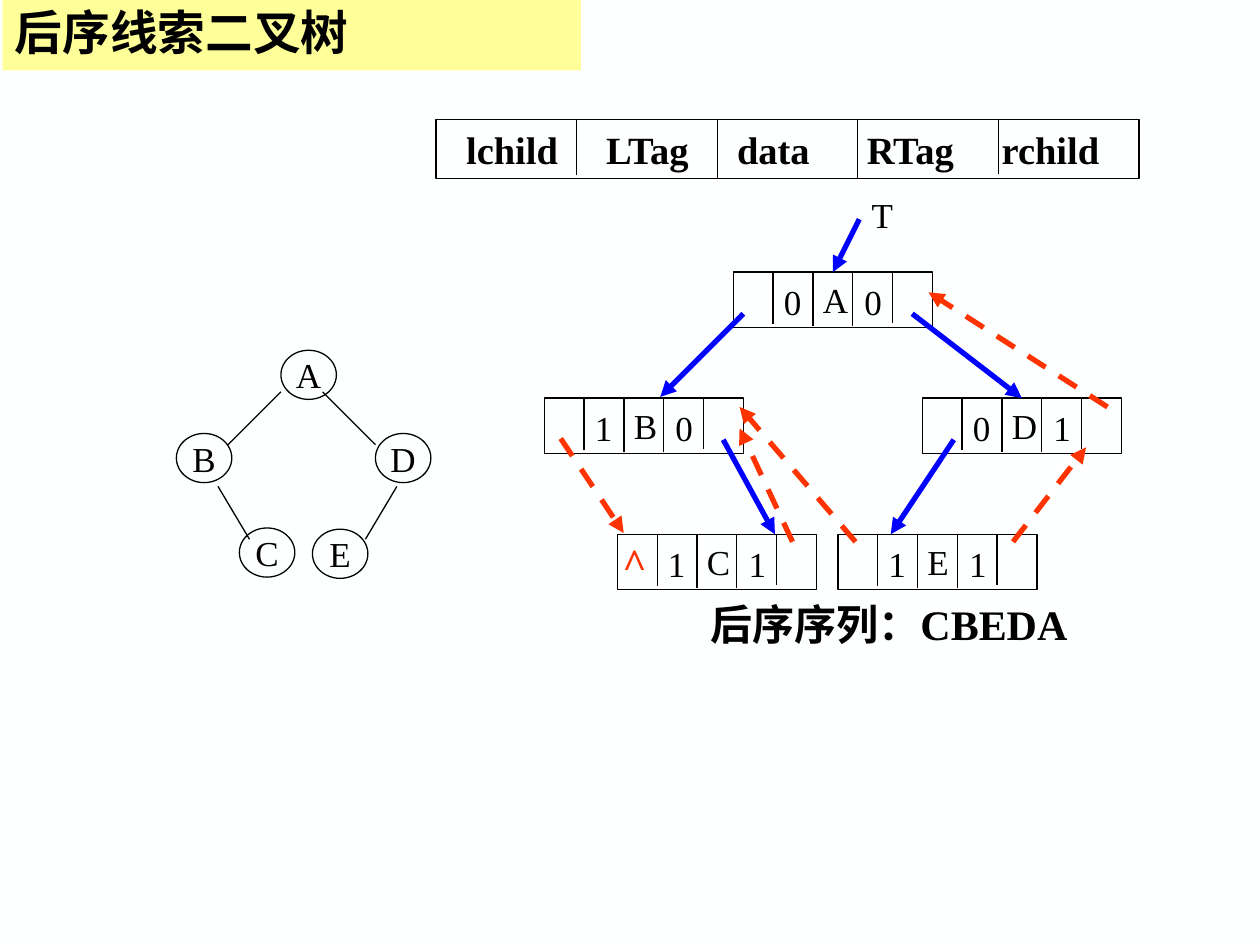
from lxml import etree
from pptx import Presentation
from pptx import util as u
from pptx.dml.color import RGBColor
from pptx.enum import dml, shapes, text
from pptx.oxml.ns import qn

BLACK, BLUE, RED = "000000", "0000FF", "FF3300"
LATIN, CJK = "Times New Roman", "Noto Sans CJK SC"


def color(value):
    """Turn a hex string into a colour."""
    return RGBColor.from_string(value)


def write(shape, words, size=20, bold=False, ink=BLACK, font=LATIN, align="CENTER",
          anchor="MIDDLE", wrap=False, left=0.1, spacing=None, tabs=()):
    """Set one formatted paragraph in a shape."""
    frame = shape.text_frame
    frame.word_wrap = wrap
    frame.vertical_anchor = getattr(text.MSO_ANCHOR, anchor)
    frame.margin_left = u.Inches(left)
    paragraph = frame.paragraphs[0]
    paragraph.alignment = getattr(text.PP_ALIGN, align)
    if spacing:
        paragraph.line_spacing = spacing
    if tabs:
        stops = etree.SubElement(paragraph._p.get_or_add_pPr(), qn("a:tabLst"))
        for stop in tabs:
            etree.SubElement(stops, qn("a:tab"), pos=str(u.Inches(stop)), algn="l")
    run = paragraph.add_run()
    run.text = words
    run.font.size, run.font.bold, run.font.name = u.Pt(size), bold, font
    run.font.color.rgb = color(ink)
    etree.SubElement(run._r.get_or_add_rPr(), qn("a:ea"), typeface=CJK)


def add_outline(slide, kind, box, fill=None):
    """Add a preset shape, either filled or with a thin outline."""
    shape = slide.shapes.add_shape(kind, *map(u.Inches, box))
    shape.shadow.inherit = False
    if fill:
        shape.fill.solid()
        shape.fill.fore_color.rgb = color(fill)
        shape.line.fill.background()
    else:
        shape.fill.background()
        shape.line.color.rgb = color(BLACK)
        shape.line.width = u.Pt(0.75)
    return shape


def add_label(slide, box, words, **style):
    """Add a text box."""
    write(slide.shapes.add_textbox(*map(u.Inches, box)), words, **style)


def add_line(slide, start, end, ink=BLACK, width=0.75, arrow=False, dashed=False):
    """Add a straight line, optionally dashed or with an arrowhead at its end."""
    line = slide.shapes.add_connector(
        shapes.MSO_CONNECTOR.STRAIGHT, *map(u.Inches, (*start, *end)))
    line.line.color.rgb = color(ink)
    line.line.width = u.Pt(width)
    if dashed:
        line.line.dash_style = dml.MSO_LINE.DASH
    if arrow:
        etree.SubElement(line.line._get_or_add_ln(), qn("a:tailEnd"), type="triangle")
    etree.SubElement(line._element.spPr, qn("a:effectLst"))
    return line


def add_record(slide, box, words, **style):
    """Draw a record of five equal fields and its text."""
    left, top, width, height = box
    record = add_outline(slide, shapes.MSO_SHAPE.RECTANGLE, box)
    write(record, words, align="LEFT", wrap=True, **style)
    for field, shortfall in enumerate((0.03, 0.01, 0.01, 0.04), 1):
        x = left + field * width / 5
        add_line(slide, (x, top), (x, top + height - shortfall))
    return record


def add_node(slide, left, top, letter, left_tag, right_tag):
    """Draw a threaded tree node with its data and tags."""
    node = add_record(slide, (left, top, 1.58, 0.44), letter, left=0.71)
    for offset, tag in ((0.3, left_tag), (0.94, right_tag)):
        add_label(slide, (left + offset, top + 0.01, 0.34, 0.44), tag)
    return node


def add_title(slide, box):
    """Draw the title band."""
    band = add_outline(slide, shapes.MSO_SHAPE.RECTANGLE, box, fill="FFFF99")
    write(band, "后序线索二叉树", size=27.2, bold=True, font=CJK,
          align="LEFT", wrap=True, spacing=0.9)


def add_plain_tree(slide, left, top):
    """Draw the binary tree without threads."""
    places = {"A": (0.83, 0), "B": (0, 0.66), "C": (0.5, 1.41),
              "D": (1.58, 0.66), "E": (1.08, 1.42)}
    for letter, (x, y) in places.items():
        circle = add_outline(slide, shapes.MSO_SHAPE.OVAL, (left + x, top + y, 0.44, 0.39))
        write(circle, letter)
    branches = ((0.83, 0.33, -0.42), (1.16, 0.33, 0.42),
                (0.33, 1.08, 0.25), (1.75, 1.08, -0.25))
    for x, y, run in branches:
        add_line(slide, (left + x, top + y), (left + x + run, top + y + 0.42))


def add_threaded_tree(slide, left, top):
    """Draw the linked nodes, child pointers, threads and traversal order."""
    def at(x, y):
        return left + x, top + y

    nodes = {
        letter: add_node(slide, *at(x, y), letter, *tags)
        for letter, x, y, tags in (
            ("A", 1.5, 0.67, "00"), ("B", 0, 1.67, "10"), ("D", 3, 1.67, "01"),
            ("C", 0.58, 2.75, "11"), ("E", 2.33, 2.75, "11"))
    }
    pointers = (
        ((2.5, 0.25), (2.33, 0.66), "A"), ((1.58, 1), (0.92, 1.66), None),
        ((2.92, 1), (3.83, 1.66), "D"), ((1.42, 2), (1.83, 2.75), None),
        ((3.25, 2), (2.75, 2.75), None))
    for start, end, target in pointers:
        pointer = add_line(slide, at(*start), at(*end), BLUE, 3, arrow=True)
        if target:
            pointer.end_connect(nodes[target], 0)
    threads = (
        ((0.13, 1.99), (0.63, 2.74)), ((1.97, 2.81), (1.55, 1.91)),
        ((2.47, 2.81), (1.55, 1.74)), ((3.72, 2.81), (4.3, 2.06)),
        ((4.47, 1.74), (3.05, 0.83)))
    for start, end in threads:
        add_line(slide, at(*start), at(*end), RED, 3, arrow=True, dashed=True)
    add_label(slide, (*at(2.5, 0), 0.37, 0.44), "T", align="LEFT", anchor="TOP")
    add_label(slide, (*at(0.52, 2.72), 0.39, 0.5), "^", size=24, bold=True, ink=RED)
    add_label(slide, (*at(1.22, 3.21), 3.11, 0.5), "后序序列：CBEDA",
              size=24, bold=True, align="LEFT", anchor="TOP")


def main():
    """Build and save the slide."""
    deck = Presentation()
    deck.slide_width, deck.slide_height = u.Inches(10), u.Inches(7.5)
    slide = deck.slides.add_slide(deck.slide_layouts[6])
    slide.background.fill.solid()
    slide.background.fill.fore_color.rgb = color("FEFFFF")
    add_record(slide, (3.46, 0.95, 5.58, 0.47), "lchild\tLTag\tdata\tRTag\trchild",
               size=22, bold=True, left=0.24, tabs=(1.11, 2.15, 3.18, 4.25))
    add_plain_tree(slide, 1.4, 2.78)
    add_threaded_tree(slide, 4.32, 1.49)
    add_title(slide, (0.02, 0, 4.59, 0.56))
    deck.save("out.pptx")


if __name__ == "__main__":
    main()
